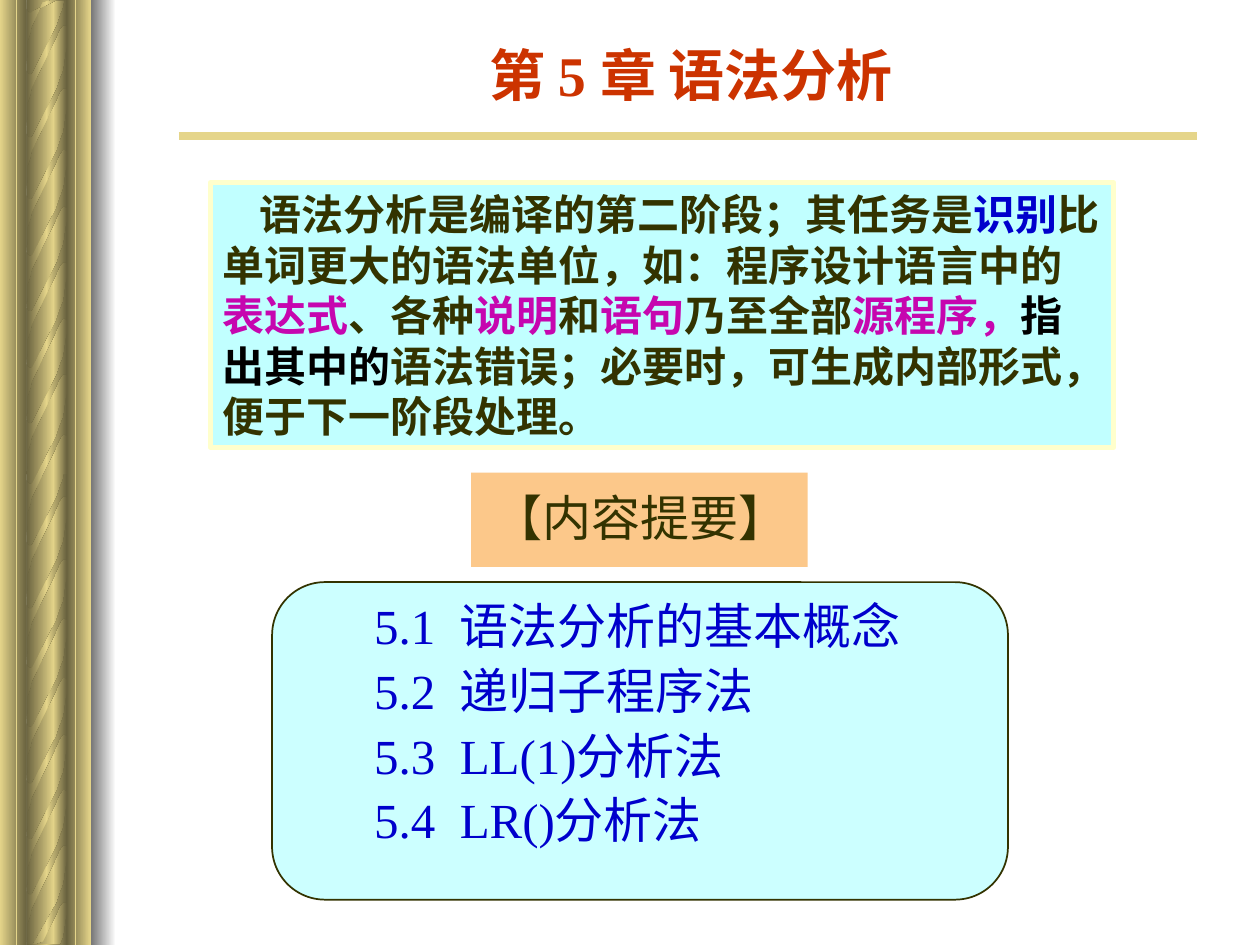
from lxml.etree import SubElement
from pptx import Presentation
from pptx.dml.color import RGBColor
from pptx.enum.shapes import MSO_CONNECTOR, MSO_SHAPE
from pptx.enum.text import MSO_ANCHOR, MSO_AUTO_SIZE, PP_ALIGN
from pptx.oxml.ns import qn
from pptx.util import Inches, Pt

SERIF, SANS = "Times New Roman", "Noto Sans CJK SC"
GOLD, OLIVE, INK, BLUE, PINK = "E5D58A", "69623F", "333300", "0000CC", "C606AF"
W, H = 10, 7.5
HALF = 3.74

# One twist of the rope: x on the slide, y below the top of the twist
TWIST = [(.53, .09), (.53, .33), (.52, .32), (.5, .32), (.49, .33), (.47, .36),
         (.43, .45), (.34, .63), (.25, .82), (.24, .87), (.22, .93), (.22, 1.01),
         (.21, 1.12), (.21, .63), (.21, .68), (.22, .7), (.23, .71), (.24, .71),
         (.25, .71), (.26, .7), (.45, .33), (.48, .24), (.5, .19), (.51, .14),
         (.52, .06), (.53, 0), (.53, .2)]
UPPER_TWISTS = [-.61, -.12, .38, .87, 1.32, 1.76, 2.21, 2.65, 3.13]
LOWER_TWISTS = [3.62, 4.12, 4.59, 5.06, 5.51, 5.95, 6.39, 6.84, 7.26]
# left, width, colour on the left, colour on the right
PILLAR_BANDS = [(.42, .11, GOLD, OLIVE), (0, .21, GOLD, OLIVE),
                (.21, .22, OLIVE, GOLD), (.53, .19, OLIVE, GOLD)]

INTRO = [("语法分析是编译的第二阶段；其任务是", INK), ("识别", BLUE),
         ("比单词更大的语法单位，如：程序设计语言中的", INK), ("表达式", PINK),
         ("、各种", INK), ("说明", PINK), ("和", INK), ("语句", PINK),
         ("乃至全部", INK), ("源程序，", PINK), ("指出其中的", "000000"),
         ("语法错误；必要时，可生成内部形式，便于下一阶段处理。", INK)]
SECTIONS = ["5.1  语法分析的基本概念", "5.2  递归子程序法",
            "5.3  LL(1)分析法", "5.4  LR()分析法"]


def color(value):
    return RGBColor.from_string(value)


def place(sp, left, top, width, height):
    sp.left, sp.top, sp.width, sp.height = map(Inches, (left, top, width, height))


def fill_gradient(sp, *colors):
    """Spread the colours evenly from left to right, without an outline."""
    sp.shadow.inherit = False
    sp.line.fill.background()
    sp.fill.gradient()
    sp.fill.gradient_angle = 0
    stops = sp._element.spPr.find(".//" + qn("a:gsLst"))
    for stop in list(stops):
        stops.remove(stop)
    for i, value in enumerate(colors):
        stop = SubElement(stops, qn("a:gs"), pos=str(100000 * i // (len(colors) - 1)))
        SubElement(stop, qn("a:srgbClr"), val=value)


def add_box(shapes, box, fill=None, line=None, weight=1, kind=MSO_SHAPE.RECTANGLE):
    sp = shapes.add_shape(kind, *map(Inches, box))
    sp.shadow.inherit = False
    if fill:
        sp.fill.solid()
        sp.fill.fore_color.rgb = color(fill)
    if line:
        sp.line.color.rgb = color(line)
        sp.line.width = Pt(weight)
    else:
        sp.line.fill.background()
    return sp


def add_line(shapes, x1, y1, x2, y2, weight):
    c = shapes.add_connector(MSO_CONNECTOR.STRAIGHT, *map(Inches, (x1, y1, x2, y2)))
    c.line.color.rgb = color(GOLD)
    c.line.width = Pt(weight)
    SubElement(c._element.spPr, qn("a:effectLst"))


def add_twist(shapes, top, low, high):
    """Draw one twist of the rope, cut off above low and below high."""
    points = [(Inches(x), Inches(min(max(top + y, low), high))) for x, y in TWIST]
    builder = shapes.build_freeform(*points[0])
    builder.add_line_segments(points[1:])
    fill_gradient(builder.convert_to_shape(), OLIVE, GOLD, OLIVE)


def add_pillar(shapes):
    for top, twists, high in ((HALF, LOWER_TWISTS, H), (0, UPPER_TWISTS, H)):
        for left, width, *colors in PILLAR_BANDS:
            fill_gradient(add_box(shapes, (left, top, width, H - HALF)), *colors)
        for y in twists:
            add_twist(shapes, y, top, high)
    fill_gradient(add_box(shapes, (.72, 0, .2, H)), "757575", "FFFFFF")
    for x in (.13, .6):
        add_line(shapes, x, 0, x, H, 1)


def setup_frame(sp, anchor=MSO_ANCHOR.TOP):
    tf = sp.text_frame
    tf.word_wrap = True
    tf.auto_size = MSO_AUTO_SIZE.NONE
    tf.vertical_anchor = anchor
    return tf


def write(p, runs, size, font=SANS, bold=False, align=PP_ALIGN.LEFT,
          before=0, spacing=1.0, margin=0, indent=0):
    """Fill a paragraph with (text, colour) runs, without a bullet."""
    p.alignment = align
    p.space_before = Pt(before)
    p.line_spacing = spacing
    pPr = p._p.get_or_add_pPr()
    pPr.set("marL", str(Inches(margin)))
    pPr.set("indent", str(Inches(indent)))
    SubElement(pPr, qn("a:buNone"))
    for text, value in runs:
        r = p.add_run()
        r.text = text
        r.font.size = Pt(size)
        r.font.bold = bold
        r.font.color.rgb = color(value)
        r.font.name = font
        SubElement(r._r.rPr, qn("a:ea"), typeface=SANS)


def add_sections(shapes, body):
    add_box(shapes, (2.16, 4.62, 5.84, 2.52), "CCFFFF", INK,
            kind=MSO_SHAPE.ROUNDED_RECTANGLE)
    shapes._spTree.append(body._element)  # bring the list in front of its panel
    place(body, 2.48, 4.77, 5.28, 2.2)
    tf = setup_frame(body)
    for i, section in enumerate(SECTIONS):
        p = tf.add_paragraph() if i else tf.paragraphs[0]
        write(p, [(section, BLUE)], 28, SERIF, before=10 if i else 1.8,
              spacing=.8, margin=.39)


def main():
    prs = Presentation()
    prs.slide_width, prs.slide_height = Inches(W), Inches(H)
    s = prs.slides.add_slide(prs.slide_layouts[1])
    shapes = s.shapes
    title, body = s.placeholders

    add_pillar(shapes)
    add_line(shapes, 1.42, 1.08, 9.5, 1.08, 4.5)

    place(title, 1.64, .25, 7.69, .67)
    write(setup_frame(title, MSO_ANCHOR.MIDDLE).paragraphs[0],
          [("第 5 章 语法分析", "CC3300")], 32, SERIF, bold=True, align=PP_ALIGN.CENTER)

    intro = add_box(shapes, (1.67, 1.45, 7.17, 2.1), "C1FFFF", "FFFFCC", 3)
    write(setup_frame(intro).paragraphs[0], INTRO, 24, bold=True, before=6, indent=.29)

    add_sections(shapes, body)

    add_box(shapes, (3.74, 3.75, 2.67, .75), "FCC88A")
    heading = shapes.add_textbox(*map(Inches, (3.82, 3.87, 2.68, .59)))
    write(setup_frame(heading).paragraphs[0], [("【内容提要】", INK)], 28,
          before=7, spacing=.9)

    prs.save("out.pptx")


if __name__ == "__main__":
    main()
